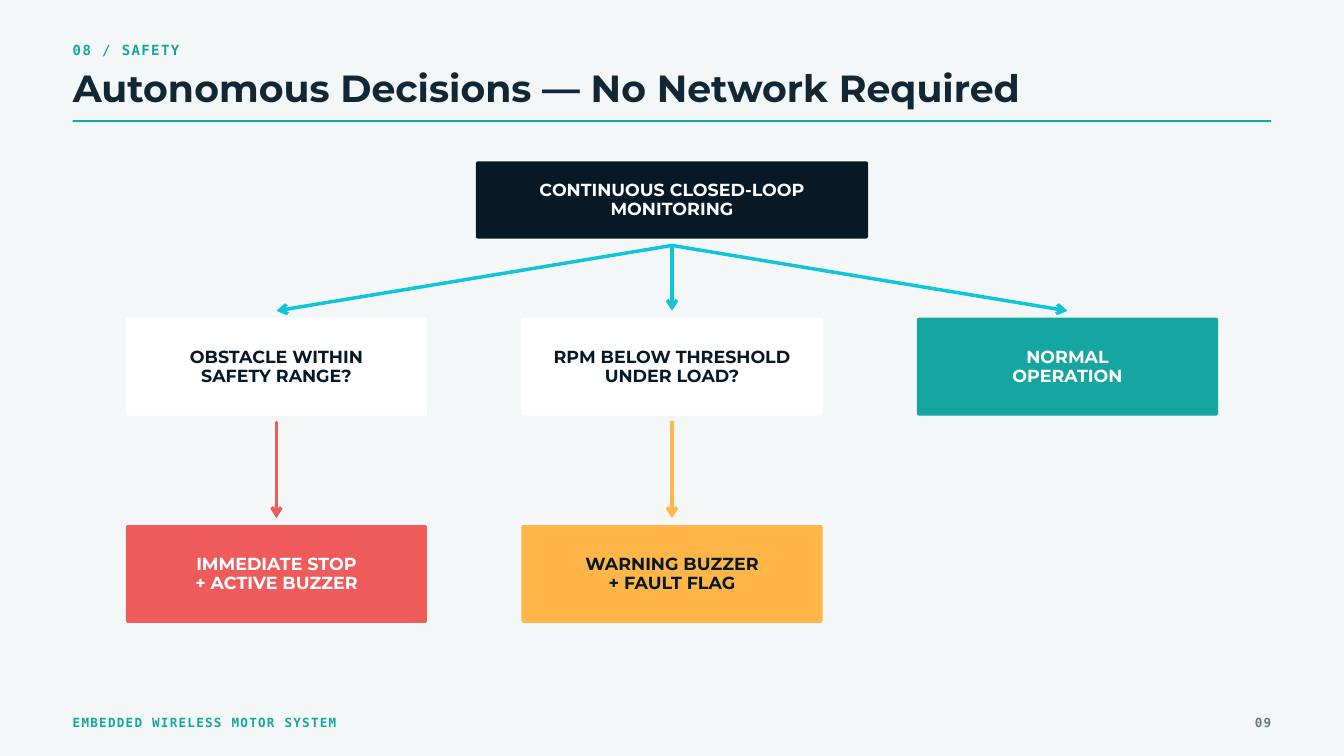
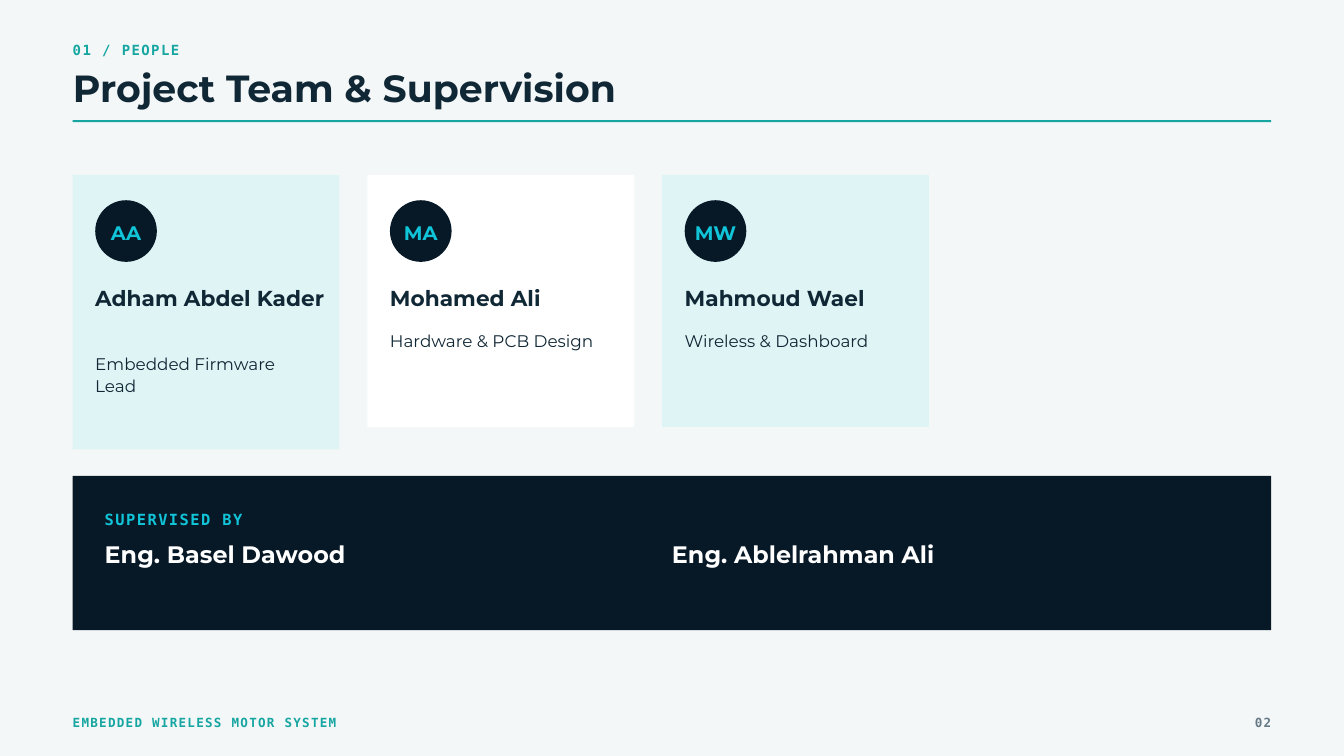
from dataclasses import dataclass

from lxml import etree
from pptx import Presentation
from pptx.dml.color import RGBColor
from pptx.enum.shapes import MSO_CONNECTOR, MSO_SHAPE
from pptx.enum.text import MSO_ANCHOR, MSO_AUTO_SIZE, PP_ALIGN
from pptx.oxml.ns import qn
from pptx.util import Cm, Pt

RECT, ROUND, OVAL = MSO_SHAPE.RECTANGLE, MSO_SHAPE.ROUNDED_RECTANGLE, MSO_SHAPE.OVAL
LEFT, MID, RIGHT = PP_ALIGN.LEFT, PP_ALIGN.CENTER, PP_ALIGN.RIGHT
TOP, CENTER = MSO_ANCHOR.TOP, MSO_ANCHOR.MIDDLE
FIXED = MSO_AUTO_SIZE.NONE
LINE = MSO_CONNECTOR.STRAIGHT

SANS, MONO = "Montserrat", "DejaVu Sans Mono"


@dataclass(frozen=True)
class Type:
    font: str
    size: float
    lead: float  # exact line spacing in points
    bold: bool = True
    track: float = 0  # letter spacing in points


class Theme:
    # Colours
    paper, white, pale = "F4F7F8", "FFFFFF", "DFF4F5"
    ink, night, slate = "102735", "071827", "647985"
    teal, cyan, red, amber = "16A6A1", "11C5D9", "EF5B5B", "FFB547"
    # Type sizes
    kicker = Type(MONO, 15, 21, track=1.5)
    title = Type(SANS, 40.5, 42.1)
    foot = Type(MONO, 13.5, 18.9, track=1.4)
    node = Type(SANS, 18.75, 20.6)
    badge = Type(SANS, 21, 29.4)
    name = Type(SANS, 23.25, 24.2)
    role = Type(SANS, 18, 24.3, bold=False)
    label = Type(MONO, 16.5, 23.1, track=1.6)
    lead = Type(SANS, 25.5, 26.5)


WIDE, HIGH = 50.8, 28.58
EDGE = 2.75
SPAN = WIDE - 2 * EDGE
FOOT = "EMBEDDED WIRELESS MOTOR SYSTEM"


def rgb(tint):
    return RGBColor.from_string(tint)


def apply(target, **values):
    for key, value in values.items():
        setattr(target, key, value)


def write(shape, text, kind, tint, align=LEFT, anchor=TOP, pad=0, wrap=True):
    """Fill a shape with text, one paragraph per line."""
    frame = shape.text_frame
    frame.text = text
    inset = Cm(pad)
    apply(frame, word_wrap=wrap, auto_size=FIXED, vertical_anchor=anchor,
          margin_left=inset, margin_top=inset,
          margin_right=inset, margin_bottom=inset)
    for para in frame.paragraphs:
        apply(para, alignment=align, line_spacing=Pt(kind.lead),
              space_before=Pt(0), space_after=Pt(0))
        for run in para.runs:
            apply(run.font, name=kind.font, size=Pt(kind.size), bold=kind.bold)
            run.font.color.rgb = rgb(tint)
            if kind.track:
                run._r.get_or_add_rPr().set("spc", str(round(kind.track * 100)))


def label(slide, box, text, kind, tint, align=LEFT):
    area = slide.shapes.add_textbox(*map(Cm, box))
    write(area, text, kind, tint, align)


def block(slide, box, tint, form=RECT):
    shape = slide.shapes.add_shape(form, *map(Cm, box))
    shape.shadow.inherit = False
    shape.fill.solid()
    shape.fill.fore_color.rgb = rgb(tint)
    shape.line.fill.background()
    return shape


def arrow(slide, start, end, tint):
    link = slide.shapes.add_connector(LINE, *map(Cm, (*start, *end)))
    link.line.color.rgb = rgb(tint)
    link.line.width = Pt(3.75)
    props = link._element.spPr
    line = props.find(qn("a:ln"))
    line.set("cap", "rnd")
    etree.SubElement(line, qn("a:tailEnd"), type="arrow")
    etree.SubElement(props, qn("a:effectLst"))


# Shared header and footer
def start(deck, kicker, title, page):
    slide = deck.slides.add_slide(deck.slide_layouts[5])
    label(slide, (EDGE, 1.45, 4.24, 0.71), kicker, Theme.kicker, Theme.teal)
    head = slide.shapes.title
    box = map(Cm, (EDGE, 2.67, 39.68, 1.52))
    apply(head, **dict(zip(("left", "top", "width", "height"), box)))
    write(head, title, Theme.title, Theme.ink)
    block(slide, (EDGE, 4.54, SPAN, 0.08), Theme.teal)
    label(slide, (EDGE, 26.95, 14.8, 0.64), FOOT, Theme.foot, Theme.teal)
    label(slide, (WIDE - EDGE - 2, 26.95, 2, 0.64), page,
          Theme.foot, Theme.slate, RIGHT)
    return slide


# Decision flow
def node(slide, box, text, fill, tint):
    shape = block(slide, box, fill, ROUND)
    shape.adjustments[0] = 0.08 / box[3]
    write(shape, text, Theme.node, tint, MID, CENTER, 0.15)


def flow(slide, box):
    left, top, width, height = box
    wide, tall, gap = 11.38, 3.7, 0.26
    step = (width - wide) / 2
    mid = left + width / 2
    root_w, root_h = 14.82, 2.92
    row, last = top + 5.91, top + height - tall

    branches = [
        ("OBSTACLE WITHIN\nSAFETY RANGE?", Theme.white, Theme.night,
         ("IMMEDIATE STOP\n+ ACTIVE BUZZER", Theme.red, Theme.white)),
        ("RPM BELOW THRESHOLD\nUNDER LOAD?", Theme.white, Theme.night,
         ("WARNING BUZZER\n+ FAULT FLAG", Theme.amber, Theme.night)),
        ("NORMAL\nOPERATION", Theme.teal, Theme.white, None),
    ]
    node(slide, (mid - root_w / 2, top, root_w, root_h),
         "CONTINUOUS CLOSED-LOOP MONITORING", Theme.night, Theme.white)
    for i, (text, fill, tint, result) in enumerate(branches):
        x = left + i * step
        axis = x + wide / 2
        arrow(slide, (mid, top + root_h + gap), (axis, row - gap), Theme.cyan)
        node(slide, (x, row, wide, tall), text, fill, tint)
        if result:
            arrow(slide, (axis, row + tall + gap), (axis, last - gap), result[1])
            node(slide, (x, last, wide, tall), *result)


# Team cards
def card(slide, box, mark, name, role, fill, drop):
    left, top, width, height = box
    x = left + 0.85
    block(slide, (left, top, width, height + drop), fill)
    badge = block(slide, (x, top + 0.96, 2.33, 2.33), Theme.night, OVAL)
    write(badge, mark, Theme.badge, Theme.cyan, MID, CENTER, wrap=False)
    label(slide, (x, top + 4.29, 8.84, 0.91), name, Theme.name, Theme.ink)
    label(slide, (x, top + 5.81 + drop, 8.38, 1.65), role, Theme.role, Theme.ink)


def team(slide, box):
    left, top, width, height = box
    wide, gap = 10.08, 1.06
    people = [
        ("AA", "Adham Abdel Kader", "Embedded Firmware Lead", Theme.pale, 0.85),
        ("MA", "Mohamed Ali", "Hardware & PCB Design", Theme.white, 0),
        ("MW", "Mahmoud Wael", "Wireless & Dashboard", Theme.pale, 0),
    ]
    for i, person in enumerate(people):
        card(slide, (left + i * (wide + gap), top, wide, height), *person)


# Supervisor band
def band(slide, box):
    left, top, width, height = box
    block(slide, box, Theme.night)
    x = left + 1.21
    label(slide, (x, top + 1.18, 7.92, 0.76), "SUPERVISED BY",
          Theme.label, Theme.cyan)
    names = ((x, "Eng. Basel Dawood"), (left + width / 2, "Eng. Ablelrahman Ali"))
    for spot, name in names:
        label(slide, (spot, top + 2.55, 18, 0.99), name, Theme.lead, Theme.white)


def main():
    deck = Presentation()
    apply(deck, slide_width=Cm(WIDE), slide_height=Cm(HIGH))
    back = deck.slide_master.background.fill
    back.solid()
    back.fore_color.rgb = rgb(Theme.paper)

    slide = start(deck, "08 / SAFETY",
                  "Autonomous Decisions — No Network Required", "09")
    flow(slide, (4.76, 6.1, 41.28, 17.45))

    slide = start(deck, "01 / PEOPLE", "Project Team & Supervision", "02")
    team(slide, (EDGE, 6.61, SPAN, 9.53))
    band(slide, (EDGE, 17.99, SPAN, 5.83))

    deck.save("out.pptx")


if __name__ == "__main__":
    main()
